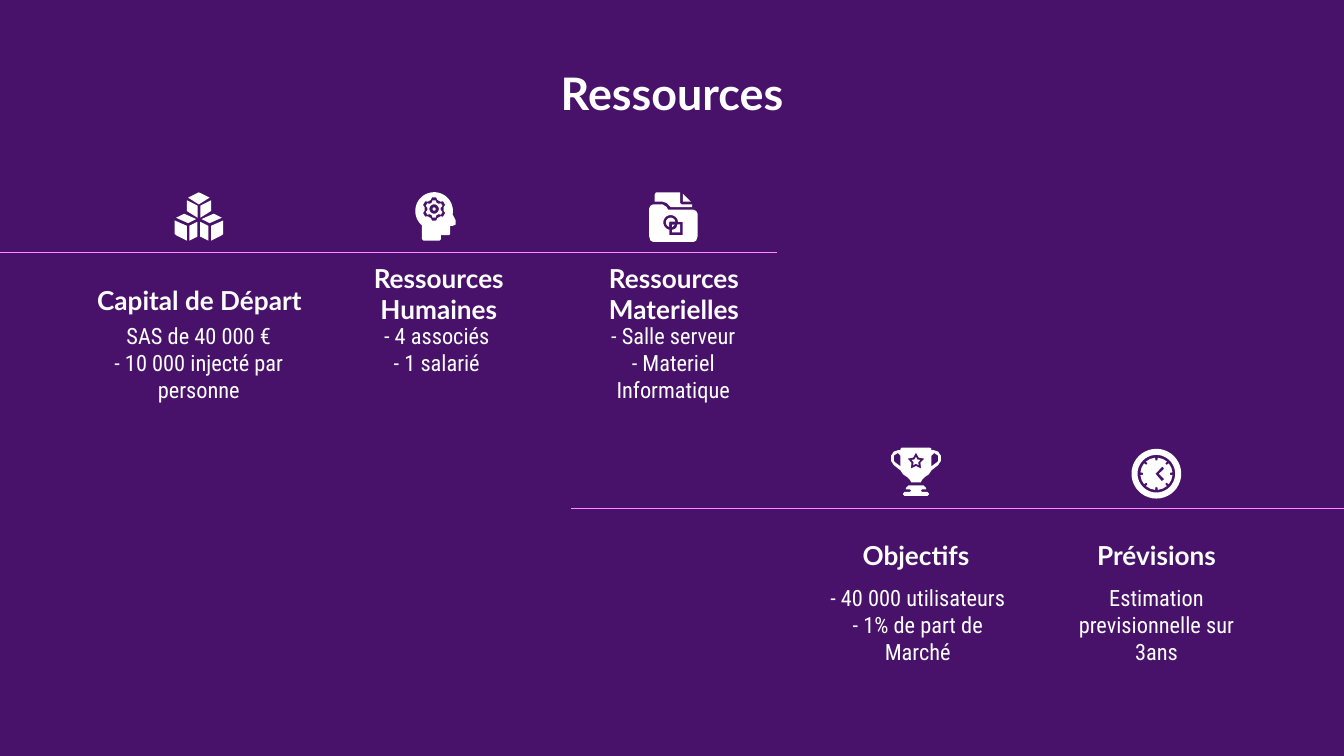
"""Build the "Ressources" slide: a title, two timelines and five icon columns."""
from math import cos, radians, sin

from lxml.etree import SubElement
from pptx import Presentation
from pptx.dml.color import RGBColor
from pptx.enum.shapes import MSO_CONNECTOR
from pptx.enum.text import MSO_ANCHOR, PP_ALIGN
from pptx.oxml.ns import qn
from pptx.util import Pt

PURPLE = RGBColor(0x48, 0x12, 0x6A)
PINK = RGBColor(0xFF, 0x8C, 0xFF)
WHITE = RGBColor(0xFF, 0xFF, 0xFF)
ICON_UNIT = 0.72


def polar(center, points):
    return [(center[0] + radius * cos(radians(angle)), center[1] + radius * sin(radians(angle)))
            for angle, radius in points]


def arc(center, radius, start=0, end=360, steps=40):
    return polar(center, [(start + (end - start) * i / steps, radius) for i in range(steps + 1)])


def spokes(center, count, profile):
    return polar(center, [(-90 + 360 * i / count + offset, radius)
                          for i in range(count) for offset, radius in profile])


def gear(center, outer, inner):
    return spokes(center, 6, [(-20, inner), (-10, outer), (10, outer), (20, inner)])


def star(center, outer, inner):
    return spokes(center, 5, [(0, outer), (36, inner)])


def mirror(contour, axis):
    return [(2 * axis - x, y) for x, y in reversed(contour)]


def symmetric(half, axis):
    return half + mirror(half, axis)


def cubes_icon():
    left_faces = [
        [(9, 6), (9, 14), (17, 19), (17, 10)],
        [(1, 19), (7, 16), (16, 20), (10, 23)],
        [(0, 21), (0, 31), (1, 32), (9, 36), (9, 25)],
        [(11, 25), (17, 22), (17, 33), (11, 36)],
    ]
    faces = left_faces + [mirror(face, 18) for face in left_faces]
    return [[[(10, 4), (18, 0), (26, 4), (18, 9)]]] + [[face] for face in faces]


def head_icon():
    center = (14, 12.5)
    head = arc((14, 14), 14, 130, 370) + [
        (30, 21), (30, 24), (28, 25), (26, 25), (26, 31), (25, 32),
        (19, 32), (19, 35), (18, 36), (6, 36), (5, 35)]
    return [[head, gear(center, 8.8, 7.2)],
            [gear(center, 6.6, 5), arc(center, 3.5)],
            [arc(center, 1.2)]]


def folder_icon():
    center = (16, 22.5)
    folder = [(0, 12), (1, 10), (3, 9), (10, 9), (13, 11), (14, 13), (33, 13), (35, 14),
              (36, 16), (36, 33), (35, 36), (33, 37), (3, 37), (1, 36), (0, 33)]
    emblem = arc(center, 5.5, 100, 355) + [(25, 22), (25, 32), (15, 32)]
    paper = [(4, 2), (5, 0), (23, 0), (23, 8), (24, 9), (32, 9), (32, 11),
             (16, 11), (13, 8), (10, 7), (4, 7)]
    return [[[(25, 1), (25, 7), (31, 7)]],
            [paper],
            [[(17, 24), (17, 26), (19, 24)]],
            [arc(center, 3.5, 110, 350) + [(15, 22)]],
            [[(21, 24), (23, 24), (23, 30), (17, 30), (17, 28), (19, 27.5), (20.5, 26)]],
            [folder, emblem]]


def trophy_icon():
    axis, center = 18.5, (18.5, 10.3)
    cup = [(8, 0), (7, 1), (7, 2), (5, 2), (2, 3), (0, 6), (0, 10), (2, 13),
           (7, 17), (9, 20), (12, 22), (14, 24), (15, 26)]
    handle = [(5, 4), (7, 6), (7, 14), (3, 11), (2, 10), (2, 6)]
    base = [(13, 28), (11, 30), (11, 31), (14, 31), (15, 32), (14, 33),
            (10, 33), (9, 34), (9, 35), (10, 36)]
    return [[symmetric(cup, axis), handle, mirror(handle, axis), star(center, 6.6, 3.5)],
            [symmetric(base, axis)],
            [star(center, 3.4, 1.8)]]


def clock_icon():
    center = (18.5, 18.5)
    face = spokes(center, 8, [(4, 10), (5, 12), (22.5, 12), (40, 12), (41, 10)])
    hand = [(23, 13), (24.3, 14.8), (20.3, 18.5), (24.3, 22.5), (22.5, 24), (17.8, 18.5)]
    return [[arc(center, 18.5), arc(center, 14)], [face, hand]]


class SlideBuilder:
    """Hold the slide and its style, and draw each kind of element."""

    heading_font = "Lato"
    body_font = "Roboto Condensed"

    def __init__(self, slide):
        self.slide = slide
        slide.background.fill.solid()
        slide.background.fill.fore_color.rgb = PURPLE

    def text(self, box, lines, font, size, bold=False, anchor=MSO_ANCHOR.TOP):
        shape = self.slide.shapes.add_textbox(*map(Pt, box))
        text_frame = shape.text_frame
        text_frame.word_wrap = True
        text_frame.vertical_anchor = anchor
        text_frame.margin_left = text_frame.margin_right = Pt(7.2)
        text_frame.margin_top = text_frame.margin_bottom = Pt(7.2)
        text_frame.text = "\n".join(lines)
        for paragraph in text_frame.paragraphs:
            paragraph.alignment = PP_ALIGN.CENTER
            for run in paragraph.runs:
                run.font.name = font
                run.font.size = Pt(size)
                run.font.bold = bold
                run.font.color.rgb = WHITE

    def title(self, box, text):
        self.text(box, [text], self.heading_font, 24, bold=True)

    def heading(self, left, top, text):
        self.text((left, top, 140.4, 33.8), [text], self.heading_font, 14,
                  bold=True, anchor=MSO_ANCHOR.BOTTOM)

    def body(self, left, top, width, lines):
        self.text((left, top, width, 79.2), lines, self.body_font, 12)

    def line(self, start, end, top):
        connector = self.slide.shapes.add_connector(
            MSO_CONNECTOR.STRAIGHT, Pt(start), Pt(top), Pt(end), Pt(top))
        connector.line.color.rgb = PINK
        connector.line.width = Pt(0.75)
        SubElement(connector._element.spPr, qn("a:effectLst"))

    def icon(self, left, top, parts):
        for part in parts:
            contours = [[(Pt(left + x * ICON_UNIT), Pt(top + y * ICON_UNIT)) for x, y in contour]
                        for contour in part]
            builder = self.slide.shapes.build_freeform(*contours[0][0])
            builder.add_line_segments(contours[0][1:])
            for contour in contours[1:]:
                builder.move_to(*contour[0])
                builder.add_line_segments(contour[1:])
            shape = builder.convert_to_shape()
            shape.shadow.inherit = False
            shape.fill.solid()
            shape.fill.fore_color.rgb = WHITE
            shape.line.fill.background()


def main():
    presentation = Presentation()
    presentation.slide_width = Pt(720)
    presentation.slide_height = Pt(405)
    builder = SlideBuilder(presentation.slides.add_slide(presentation.slide_layouts[6]))

    builder.title((154.8, 28.1, 410.4, 74.2), "Ressources")
    builder.line(416.2, -3.6, 135.4)
    builder.line(722.9, 306, 272.6)

    columns = [
        ((36.7, 142.6), "Capital de Départ", (48.2, 165.6, 116.6),
         ["SAS de 40 000 €", "- 10 000 injecté par personne"], (93.6, 103), cubes_icon()),
        ((164.9, 147.6), "Ressources Humaines", (175.7, 165.6, 116.6),
         ["- 4 associés", "- 1 salarié"], (222.5, 103), head_icon()),
        ((290.9, 147.6), "Ressources Materielles", (302.4, 165.6, 116.6),
         ["- Salle serveur", "- Materiel Informatique"], (347.8, 103), folder_icon()),
        ((420.5, 279.4), "Objectifs", (433.4, 306, 116.6),
         ["- 40 000 utilisateurs", "- 1% de part de Marché"], (477.4, 239.8), trophy_icon()),
        ((549.4, 279.4), "Prévisions", (562.3, 306, 114.5),
         ["Estimation previsionnelle sur 3ans"], (606.2, 240.5), clock_icon()),
    ]
    for heading_position, heading, body_box, lines, icon_position, parts in columns:
        builder.heading(*heading_position, heading)
        builder.body(*body_box, lines)
        builder.icon(*icon_position, parts)

    presentation.save("out.pptx")


if __name__ == "__main__":
    main()
